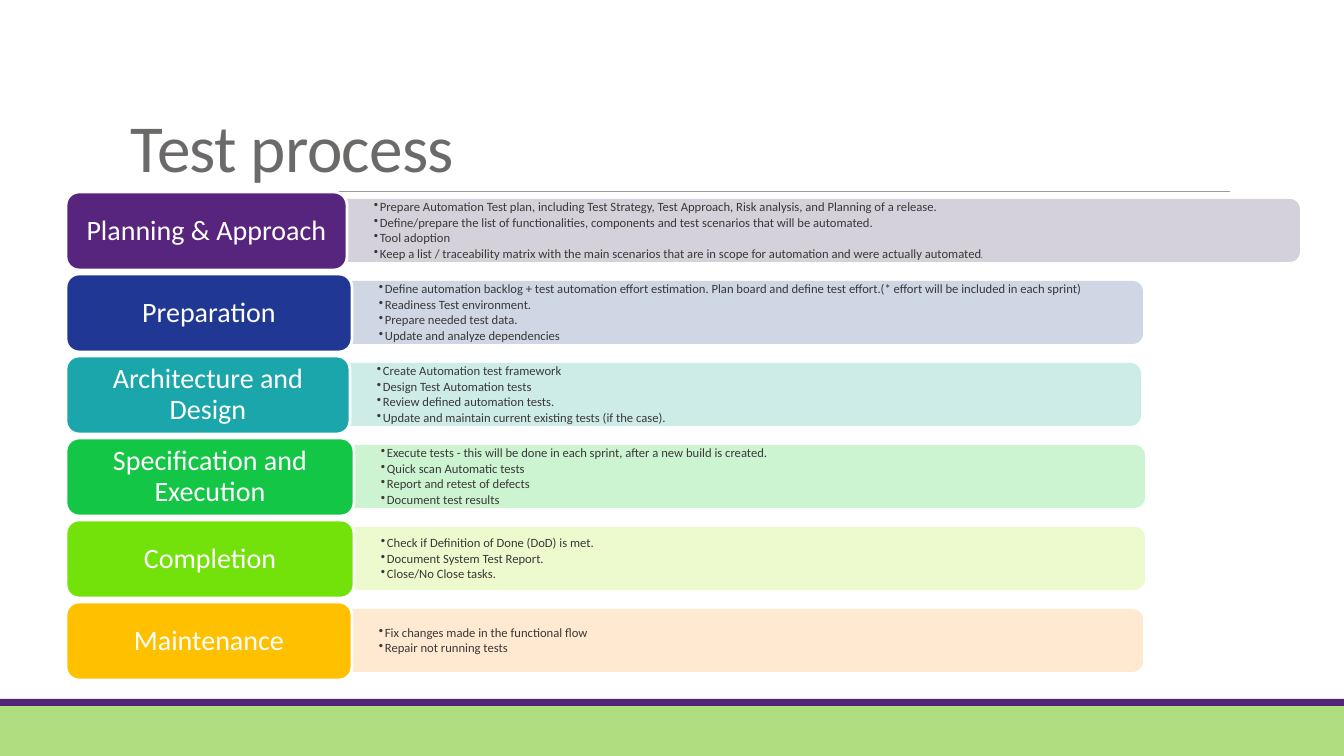
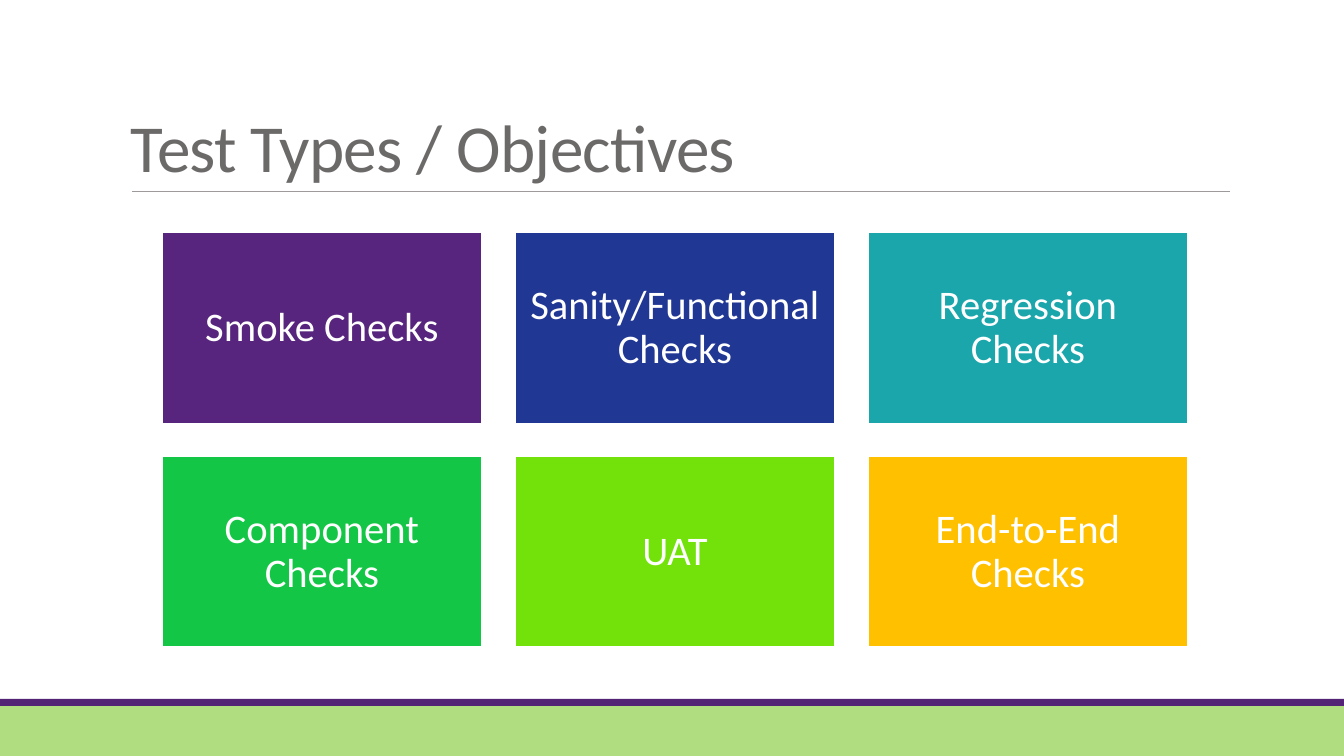
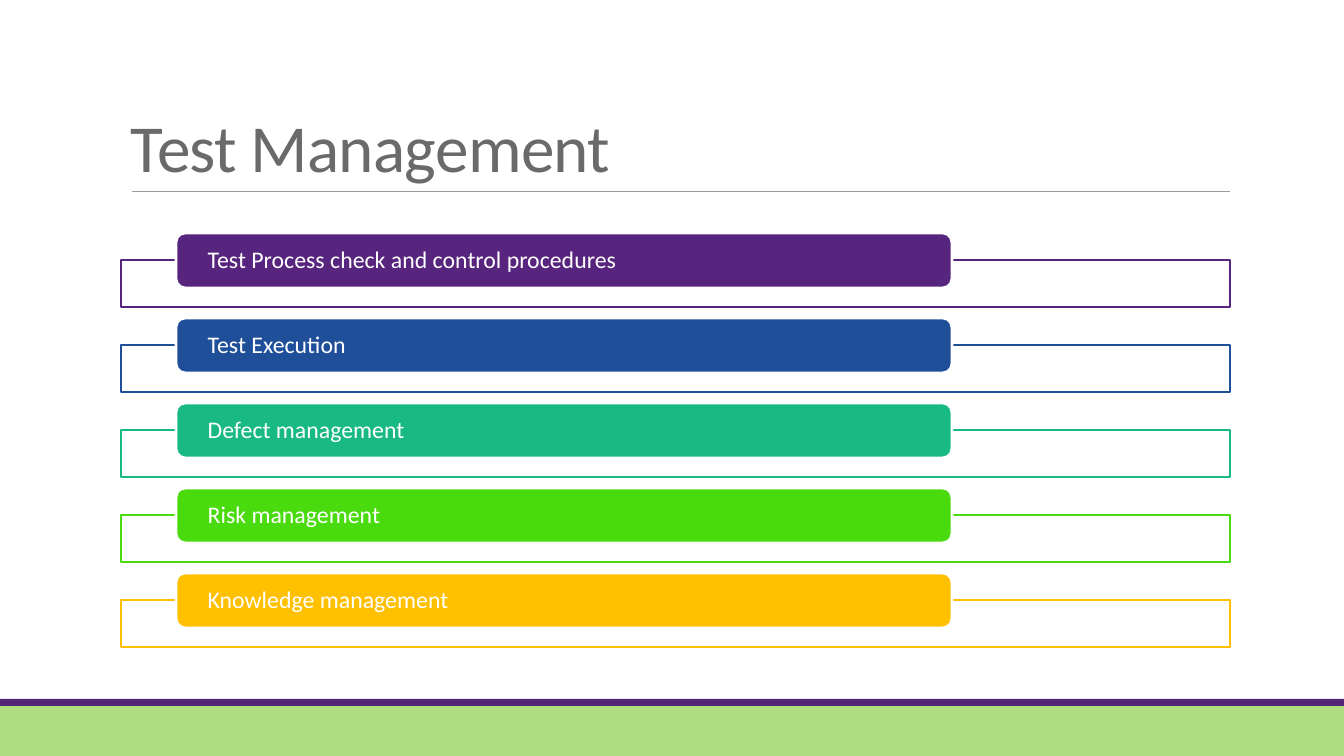
from pptx import Presentation
from pptx.dml.color import RGBColor
from pptx.enum.shapes import MSO_CONNECTOR, MSO_SHAPE
from pptx.enum.text import MSO_ANCHOR, PP_ALIGN
from pptx.oxml.ns import qn
from pptx.util import Emu, Pt
from lxml.etree import SubElement

SCALE = 914400 / 100.8
SLIDE_W, SLIDE_H = 1344, 756
FONT = "Calibri"

WHITE = RGBColor(0xFF, 0xFF, 0xFF)
TITLE_GREY = RGBColor(0x6C, 0x69, 0x69)
RULE_GREY = RGBColor(0x9E, 0x9A, 0x9A)
BODY_GREY = RGBColor(0x3A, 0x38, 0x38)
BAND_GREEN = RGBColor(0xB0, 0xDD, 0x7F)
BAND_PURPLE = RGBColor(0x53, 0x24, 0x76)
PURPLE = RGBColor(0x57, 0x25, 0x7D)
NAVY = RGBColor(0x21, 0x37, 0x94)
BLUE = RGBColor(0x20, 0x4F, 0x9A)
TEAL = RGBColor(0x1B, 0xA6, 0xAC)
SEA_GREEN = RGBColor(0x18, 0xB9, 0x82)
GREEN = RGBColor(0x14, 0xC6, 0x46)
BRIGHT_GREEN = RGBColor(0x49, 0xDB, 0x0D)
LIME = RGBColor(0x73, 0xE2, 0x0B)
AMBER = RGBColor(0xFF, 0xC0, 0x00)
PALE_PURPLE = RGBColor(0xD1, 0xCD, 0xD7)
PALE_NAVY = RGBColor(0xCA, 0xD3, 0xE2)
PALE_TEAL = RGBColor(0xC8, 0xEB, 0xE6)
PALE_GREEN = RGBColor(0xC8, 0xF3, 0xCC)
PALE_LIME = RGBColor(0xEA, 0xFA, 0xC9)
PALE_AMBER = RGBColor(0xFF, 0xE8, 0xCC)

PHASES = [
    ("Planning & Approach", PURPLE, PALE_PURPLE, 281, 953, [
        ["Prepare Automation Test plan, including Test Strategy, Test Approach, "
         "Risk analysis, and Planning of a release."],
        ["Define/prepare the list of functionalities, components and test scenarios "
         "that will be automated."],
        ["Tool adoption"],
        ["Keep a list / traceability matrix with the main scenarios that are in scope "
         "for automation and were actually automated", "."],
    ]),
    ("Preparation", NAVY, PALE_NAVY, 286, 791, [
        ["Define automation backlog + test automation effort estimation. Plan board and "
         "define test effort.(* effort will be included in each sprint)"],
        ["Readiness Test environment."],
        ["Prepare needed test data."],
        ["Update and analyze dependencies"],
    ]),
    ("Architecture and Design", TEAL, PALE_TEAL, 284, 791, [
        ["Create Automation test framework"],
        ["Design Test Automation tests"],
        ["Review defined automation tests."],
        ["Update and maintain current existing tests (if the case)."],
    ]),
    ("Specification and Execution", GREEN, PALE_GREEN, 288, 791, [
        ["Execute tests - this will be done in each sprint, after a new build is created."],
        ["Quick scan Automatic tests"],
        ["Report and retest of defects"],
        ["Document test results"],
    ]),
    ("Completion", LIME, PALE_LIME, 288, 791, [
        ["Check if Definition of Done (DoD) is met."],
        ["Document System Test Report."],
        ["Close/No Close tasks."],
    ]),
    ("Maintenance", AMBER, PALE_AMBER, 286, 791, [
        ["Fix changes made in the functional flow"],
        ["Repair not running tests"],
    ]),
]

CHECKS = [
    ("Smoke Checks", PURPLE),
    ("Sanity/Functional Checks", NAVY),
    ("Regression Checks", TEAL),
    ("Component Checks", GREEN),
    ("UAT", LIME),
    ("End-to-End Checks", AMBER),
]

AREAS = [
    ("Test Process check and control procedures", PURPLE),
    ("Test Execution", BLUE),
    ("Defect management", SEA_GREEN),
    ("Risk management", BRIGHT_GREEN),
    ("Knowledge management", AMBER),
]


def px(n):
    return Emu(round(n * SCALE))


def add_box(s, kind, x, y, w, h, fill, line=None, line_w=2, alpha=None):
    sp = s.shapes.add_shape(kind, px(x), px(y), px(w), px(h))
    sp.shadow.inherit = False
    sp.fill.solid()
    sp.fill.fore_color.rgb = fill
    if line is None:
        sp.line.fill.background()
    else:
        sp.line.color.rgb = line
        sp.line.width = Pt(line_w)
    if alpha:
        color = sp.fill._xPr.find(qn("a:solidFill")).find(qn("a:srgbClr"))
        SubElement(color, qn("a:alpha"), val=str(alpha * 1000))
    return sp


def set_frame(sp, inset_x, inset_y, anchor=MSO_ANCHOR.MIDDLE):
    tf = sp.text_frame
    tf.word_wrap = True
    tf.vertical_anchor = anchor
    tf.margin_left = tf.margin_right = px(inset_x)
    tf.margin_top = tf.margin_bottom = px(inset_y)
    return tf


def add_run(p, text, size, color):
    r = p.add_run()
    r.text = text
    r.font.name = FONT
    r.font.size = Pt(size)
    r.font.color.rgb = color
    return r


def add_label(sp, text, size, inset_x, inset_y, align=PP_ALIGN.CENTER):
    p = set_frame(sp, inset_x, inset_y).paragraphs[0]
    p.alignment = align
    p.line_spacing = 0.9
    add_run(p, text, size, WHITE)


def add_bullets(s, x, y, w, h, items):
    tf = set_frame(s.shapes.add_textbox(px(x), px(y), px(w), px(h)), 27, 14)
    for i, parts in enumerate(items):
        p = tf.add_paragraph() if i else tf.paragraphs[0]
        p.line_spacing = 0.9
        p.space_after = Pt(1.35)
        pPr = p._p.get_or_add_pPr()
        pPr.set("marL", str(px(6)))
        pPr.set("indent", str(-px(6)))
        SubElement(pPr, qn("a:buChar"), char="•")
        for text, size in zip(parts, (9, 6)):
            add_run(p, text, size, BODY_GREY)


def add_base(prs, title):
    s = prs.slides.add_slide(prs.slide_layouts[6])
    add_box(s, MSO_SHAPE.RECTANGLE, 0, 706, SLIDE_W, 50, BAND_GREEN)
    add_box(s, MSO_SHAPE.RECTANGLE, 0, 699, SLIDE_W, 7, BAND_PURPLE)
    rule = s.shapes.add_connector(MSO_CONNECTOR.STRAIGHT, px(132), px(191), px(1230), px(191))
    rule.line.color.rgb = RULE_GREY
    rule.line.width = Pt(0.5)
    SubElement(rule._element.spPr, qn("a:effectLst"))
    box = s.shapes.add_textbox(px(121), px(31), px(1109), px(160))
    p = set_frame(box, 10, 5, MSO_ANCHOR.BOTTOM).paragraphs[0]
    p.line_spacing = 0.85
    r = add_run(p, title, 48, TITLE_GREY)
    r._r.get_or_add_rPr().set("spc", "-50")
    return s


def add_phase(s, y, name, color, pale, label_w, bar_w, items):
    left, bar_h = 66, 63
    bar_x, bar_y = left + label_w, y + 7
    shift = (bar_w - bar_h) // 2
    bar = add_box(s, MSO_SHAPE.ROUND_2_SAME_RECTANGLE, bar_x + shift, bar_y - shift,
                  bar_h, bar_w, pale, alpha=90)
    bar.rotation = 90
    add_bullets(s, bar_x, y + 11, bar_w - 3, 56, items)
    label = add_box(s, MSO_SHAPE.ROUNDED_RECTANGLE, left, y, label_w, 78, color, WHITE)
    add_label(label, name, 20, 8, 4)


def add_process(prs):
    s = add_base(prs, "Test process")
    for i, phase in enumerate(PHASES):
        add_phase(s, 192 + 82 * i, *phase)


def add_types(prs):
    s = add_base(prs, "Test Types / Objectives")
    for i, (name, color) in enumerate(CHECKS):
        row, col = divmod(i, 3)
        tile = add_box(s, MSO_SHAPE.RECTANGLE, 162 + 353 * col, 232 + 224 * row,
                       320, 192, color, WHITE)
        add_label(tile, name, 29, 12, 12)


def add_management(prs):
    s = add_base(prs, "Test Management")
    for i, (name, color) in enumerate(AREAS):
        y = 233 + 85 * i
        add_box(s, MSO_SHAPE.RECTANGLE, 121, y + 27, 1109, 47, WHITE, color, 1.25, 90)
        pill = add_box(s, MSO_SHAPE.ROUNDED_RECTANGLE, 176, y, 776, 55, color, WHITE)
        add_label(pill, name, 17, 29, 0, PP_ALIGN.LEFT)


def main():
    prs = Presentation()
    prs.slide_width, prs.slide_height = px(SLIDE_W), px(SLIDE_H)
    add_process(prs)
    add_types(prs)
    add_management(prs)
    prs.save("out.pptx")


if __name__ == "__main__":
    main()
